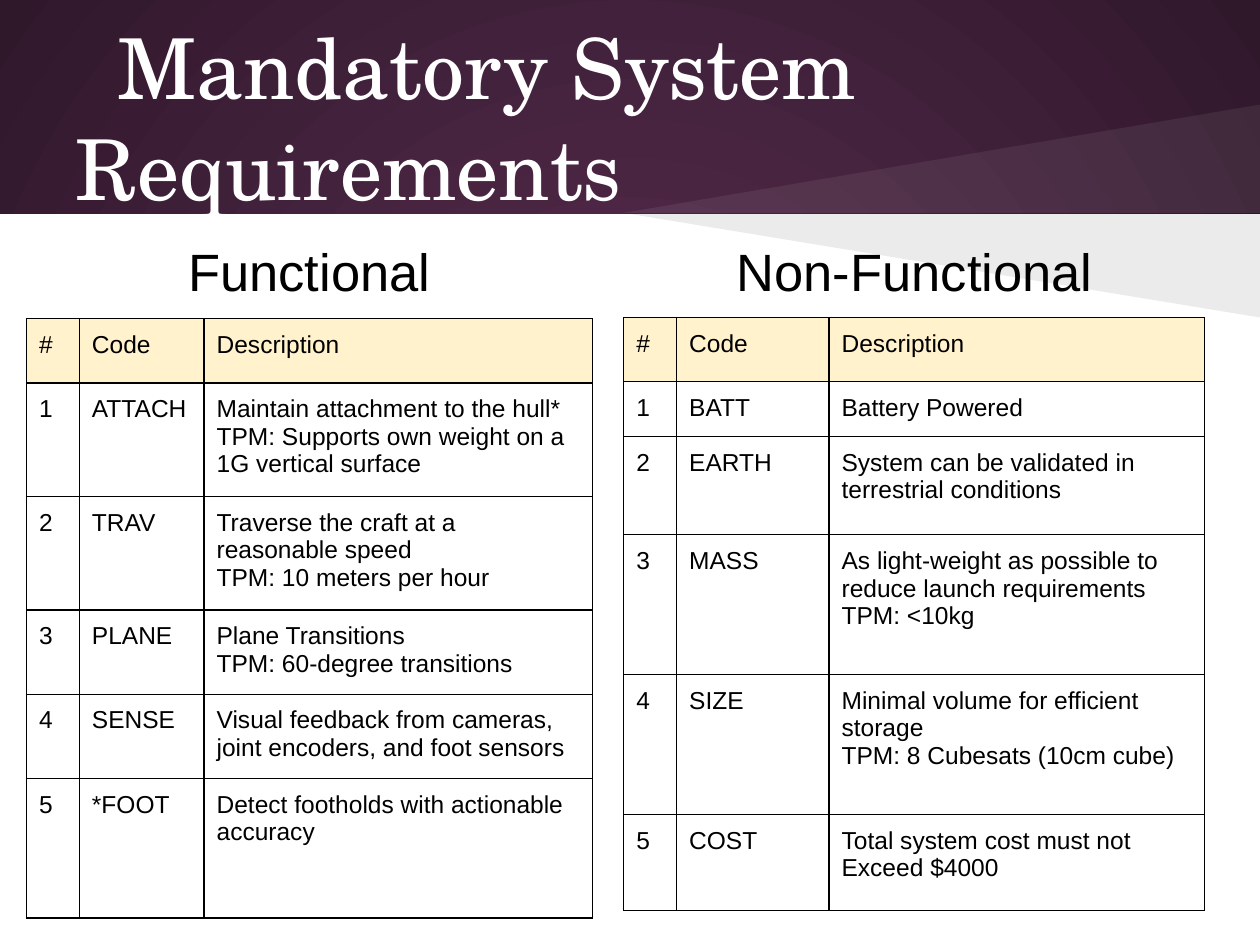
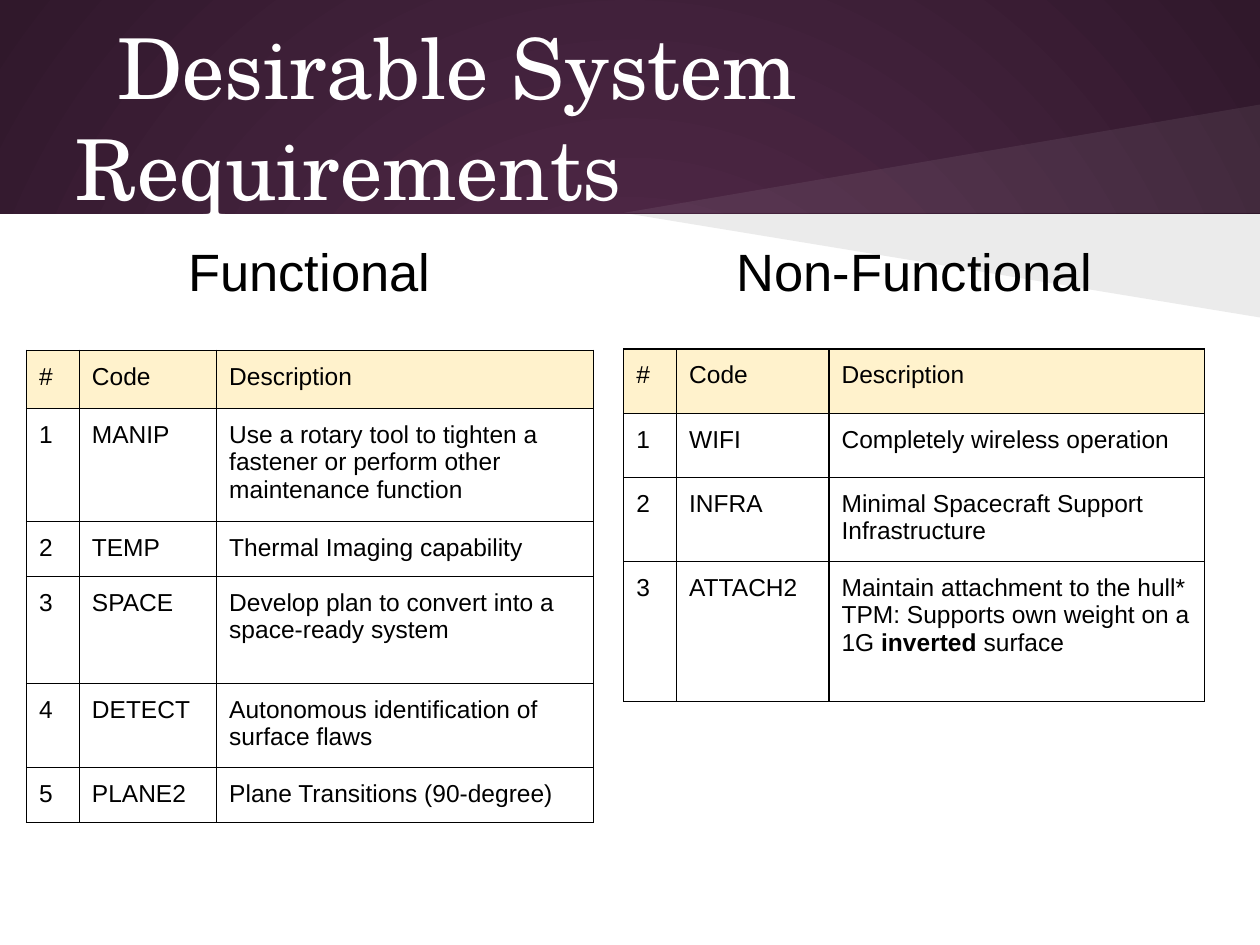
from lxml import etree
from pptx import Presentation
from pptx import util as u
from pptx.dml.color import RGBColor
from pptx.enum import shapes, text
from pptx.oxml.ns import qn

WHITE, BLACK, HEADER = "FFFFFF", "000000", "FFF2CC"
GLOW, EDGE = "592D50", "30182B"
TITLE_FONT, BODY_FONT = "TeX Gyre Schola", "Arial"
INSET = u.Inches(0.1)
BAND_BOTTOM = 1.69
WEDGE_TIP, SLIDE_RIGHT = 4.95, 10

# Heading boxes: left, top, width, height
HEADINGS = {
    "Functional": (1.21, 1.8, 2.49, 0.67),
    "Non-Functional": (5.68, 1.8, 3.16, 0.67),
}
COLUMN_NAMES = ("#", "Code", "Description")

# Rows are numbered by position; \n starts a paragraph, ** surrounds bold text.
SLIDES = [
    {
        "title": "Mandatory System Requirements",
        "tables": [
            {
                "at": (0.21, 2.53),
                "columns": (0.42, 0.99, 3.08),
                "heights": (0.51, 0.86, 0.85, 0.64, 0.64, 1.11),
                "rows": [
                    ("ATTACH", "Maintain attachment to the hull*\n"
                               "TPM: Supports own weight on a 1G vertical surface"),
                    ("TRAV", "Traverse the craft at a reasonable speed\n"
                             "TPM: 10 meters per hour"),
                    ("PLANE", "Plane Transitions\nTPM: 60-degree transitions"),
                    ("SENSE", "Visual feedback from cameras, joint encoders, "
                              "and foot sensors"),
                    ("*FOOT", "Detect footholds with actionable accuracy"),
                ],
            },
            {
                "at": (4.95, 2.52),
                "columns": (0.42, 1.21, 2.98),
                "heights": (0.51, 0.42, 0.78, 1.11, 1.11, 0.76),
                "rows": [
                    ("BATT", "Battery Powered"),
                    ("EARTH", "System can be validated in terrestrial conditions"),
                    ("MASS", "As light-weight as possible to reduce launch "
                             "requirements\nTPM: <10kg"),
                    ("SIZE", "Minimal volume for efficient storage\n"
                             "TPM: 8 Cubesats (10cm cube)"),
                    ("COST", "Total system cost must not Exceed $4000"),
                ],
            },
        ],
    },
    {
        "title": "Desirable System Requirements",
        "tables": [
            {
                "at": (0.21, 2.78),
                "columns": (0.42, 1.09, 2.99),
                "heights": (0.46, 0.87, 0.42, 0.85, 0.64, 0.42),
                "rows": [
                    ("MANIP", "Use a rotary tool to tighten a fastener or "
                              "perform other maintenance function"),
                    ("TEMP", "Thermal Imaging capability"),
                    ("SPACE", "Develop plan to convert into a space-ready system"),
                    ("DETECT", "Autonomous identification of surface flaws"),
                    ("PLANE2", "Plane Transitions (90-degree)"),
                ],
            },
            {
                "at": (4.95, 2.77),
                "columns": (0.42, 1.21, 2.98),
                "heights": (0.51, 0.51, 0.64, 1.11),
                "rows": [
                    ("WIFI", "Completely wireless operation"),
                    ("INFRA", "Minimal Spacecraft Support Infrastructure"),
                    ("ATTACH2", "Maintain attachment to the hull*\nTPM: Supports "
                                "own weight on a 1G **inverted **surface"),
                ],
            },
        ],
    },
]


def rgb(color):
    return RGBColor.from_string(color)


def inches(values):
    return [u.Inches(value) for value in values]


def set_font(paragraph, name, size, color):
    paragraph.font.name = name
    paragraph.font.size = u.Pt(size)
    paragraph.font.color.rgb = rgb(color)


def set_insets(frame):
    frame.margin_left = frame.margin_right = INSET
    frame.margin_top = frame.margin_bottom = INSET


def set_background(master):
    """Give the master a gradient that darkens outwards from its centre."""
    fill = master.background.fill
    fill.gradient()
    for stop, color, position in zip(fill.gradient_stops, (GLOW, EDGE), (0, 1)):
        stop.color.rgb = rgb(color)
        stop.position = position
    gradient = master.element.find(".//" + qn("a:gradFill"))
    gradient.remove(gradient.find(qn("a:lin")))
    circle = etree.SubElement(gradient, qn("a:path"), path="circle")
    etree.SubElement(circle, qn("a:fillToRect"),
                     {side: "50000" for side in "ltrb"})


def paint(shape, color, opacity=100):
    shape.shadow.inherit = False
    shape.line.fill.background()
    shape.fill.solid()
    shape.fill.fore_color.rgb = rgb(color)
    if opacity < 100:
        tint = shape.element.spPr.find(".//" + qn("a:srgbClr"))
        etree.SubElement(tint, qn("a:alpha"), val=str(opacity * 1000))


def add_backdrop(page):
    """Draw the white lower panel and the two wedges that meet on its edge."""
    panel = page.shapes.add_shape(shapes.MSO_SHAPE.RECTANGLE,
                                  *inches((0, 1.7, 10, 5.8)))
    paint(panel, WHITE)
    for outer_y, color, opacity in ((2.52, BLACK, 8), (0.83, WHITE, 7)):
        outline = page.shapes.build_freeform(*inches((WEDGE_TIP, BAND_BOTTOM)))
        outline.add_line_segments([inches((SLIDE_RIGHT, outer_y)),
                                   inches((SLIDE_RIGHT, BAND_BOTTOM))])
        paint(outline.convert_to_shape(), color, opacity)


def add_title(page, words):
    title = page.shapes.title
    title.left, title.top, title.width, title.height = inches((0.5, 0.3, 9, 1.25))
    frame = title.text_frame
    frame.text = words
    frame.word_wrap = True
    frame.auto_size = text.MSO_AUTO_SIZE.NONE
    frame.vertical_anchor = text.MSO_ANCHOR.MIDDLE
    set_insets(frame)
    para = frame.paragraphs[0]
    para.alignment = text.PP_ALIGN.LEFT
    para._p.get_or_add_pPr().set("indent", str(u.Inches(0.33)))
    set_font(para, TITLE_FONT, 48, WHITE)
    title.element.getparent().append(title.element)  # in front of the backdrop


def add_heading(page, words, place):
    frame = page.shapes.add_textbox(*inches(place)).text_frame
    frame.text = words
    frame.word_wrap = True
    set_insets(frame)
    para = frame.paragraphs[0]
    para.alignment = text.PP_ALIGN.CENTER
    set_font(para, BODY_FONT, 30, BLACK)


def add_borders(cell):
    properties = cell._tc.get_or_add_tcPr()
    for index, side in enumerate(("lnL", "lnR", "lnT", "lnB")):
        line = etree.Element(qn("a:" + side), w=str(u.Pt(0.75)))
        solid = etree.SubElement(line, qn("a:solidFill"))
        etree.SubElement(solid, qn("a:srgbClr"), val=BLACK)
        properties.insert(index, line)


def fill_cell(cell, words, is_header):
    set_insets(cell)
    frame = cell.text_frame
    for number, line in enumerate(words.split("\n")):
        para = frame.add_paragraph() if number else frame.paragraphs[0]
        set_font(para, BODY_FONT, 14, BLACK)
        for part, words_in_part in enumerate(line.split("**")):
            span = para.add_run()
            span.text = words_in_part
            if part % 2:
                span.font.bold = True
    if is_header:
        cell.fill.solid()
        cell.fill.fore_color.rgb = rgb(HEADER)
    else:
        cell.fill.background()
    add_borders(cell)


def add_requirements(page, at, columns, heights, rows):
    lines = [COLUMN_NAMES]
    lines += [(str(number), *row) for number, row in enumerate(rows, 1)]
    table = page.shapes.add_table(len(lines), len(columns), *inches(at),
                                  *inches((sum(columns), sum(heights)))).table
    table.first_row = table.horz_banding = False
    for column, width in zip(table.columns, columns):
        column.width = u.Inches(width)
    for row, height, line in zip(table.rows, heights, lines):
        row.height = u.Inches(height)
        for cell, words in zip(row.cells, line):
            fill_cell(cell, words, line is COLUMN_NAMES)


def main():
    deck = Presentation()
    deck.slide_width, deck.slide_height = inches((10, 7.5))
    set_background(deck.slide_master)
    title_only = deck.slide_layouts[5]
    for content in SLIDES:
        page = deck.slides.add_slide(title_only)
        add_backdrop(page)
        add_title(page, content["title"])
        for (words, place), table in zip(HEADINGS.items(), content["tables"]):
            add_heading(page, words, place)
            add_requirements(page, **table)
    deck.save("out.pptx")


if __name__ == "__main__":
    main()
